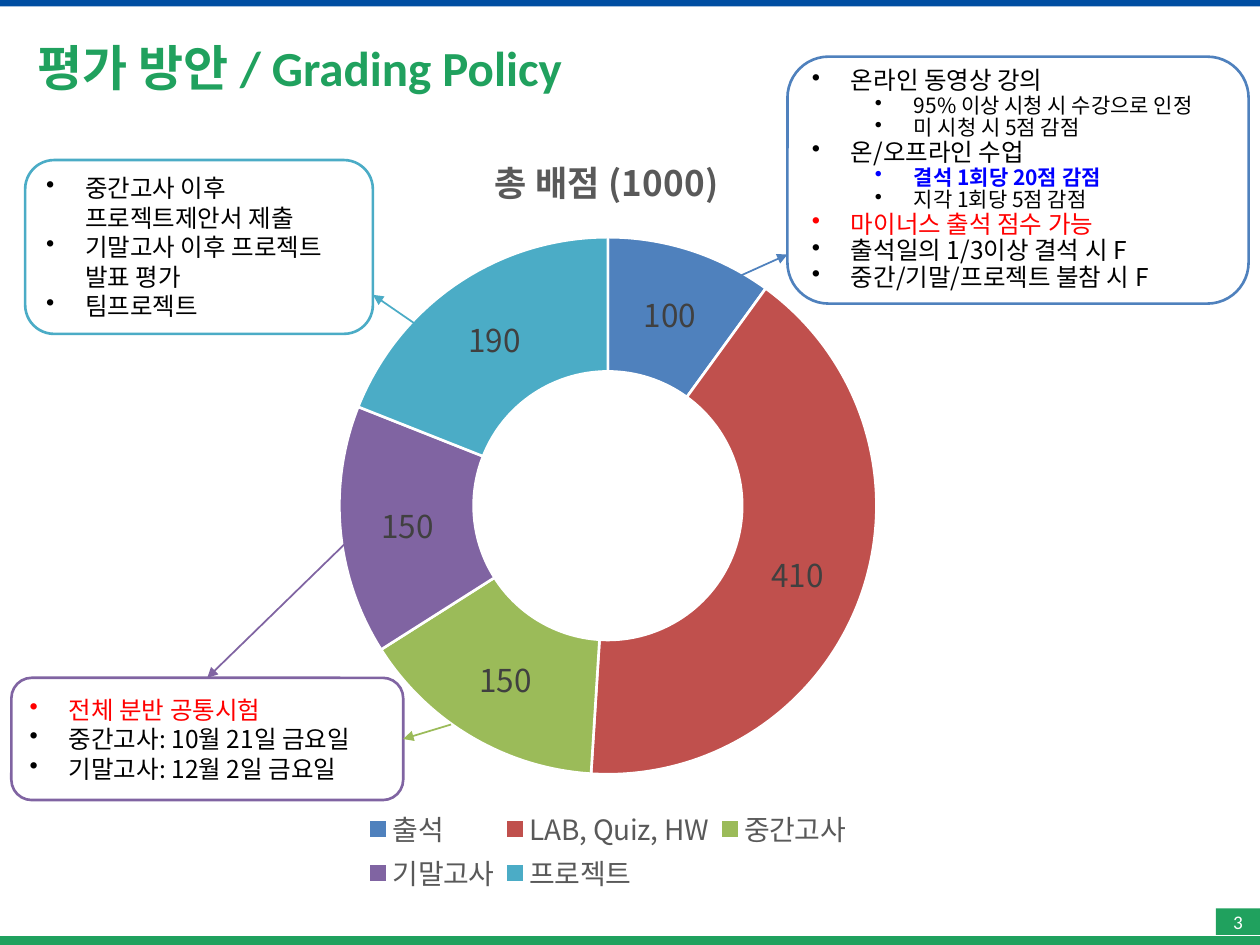
from lxml import etree
from pptx import Presentation
from pptx.chart.data import CategoryChartData
from pptx.dml.color import RGBColor
from pptx.enum.chart import XL_CHART_TYPE, XL_LEGEND_POSITION
from pptx.enum.shapes import MSO_CONNECTOR, MSO_SHAPE
from pptx.enum.text import MSO_ANCHOR, PP_ALIGN
from pptx.oxml import parse_xml
from pptx.oxml.ns import nsdecls, qn
from pptx.util import Inches, Pt

DOUGHNUT = XL_CHART_TYPE.DOUGHNUT
LEGEND_BOTTOM = XL_LEGEND_POSITION.BOTTOM
STRAIGHT = MSO_CONNECTOR.STRAIGHT
RECTANGLE = MSO_SHAPE.RECTANGLE
ROUNDED = MSO_SHAPE.ROUNDED_RECTANGLE
MIDDLE = MSO_ANCHOR.MIDDLE
LEFT, CENTER = PP_ALIGN.LEFT, PP_ALIGN.CENTER
TOP_SIDE, RIGHT_SIDE = 0, 3

GREEN = RGBColor(0x20, 0xA1, 0x5E)
NAVY = RGBColor(0x00, 0x4E, 0xA2)
WHITE = RGBColor(0xFF, 0xFF, 0xFF)
BLACK = RGBColor(0x00, 0x00, 0x00)
RED = RGBColor(0xFF, 0x00, 0x00)
BRIGHT_BLUE = RGBColor(0x00, 0x00, 0xFF)
GRAY = RGBColor(0x59, 0x59, 0x59)
DARK_GRAY = RGBColor(0x40, 0x40, 0x40)
STEEL = RGBColor(0x4F, 0x81, 0xBD)
BRICK = RGBColor(0xC0, 0x50, 0x4D)
OLIVE = RGBColor(0x9B, 0xBB, 0x59)
PURPLE = RGBColor(0x80, 0x64, 0xA2)
TEAL = RGBColor(0x4B, 0xAC, 0xC6)

LATIN_FONT = "Calibri"
KOREAN_FONT = "Noto Sans CJK KR"

SCORES = [("출석", 100, STEEL), ("LAB, Quiz, HW", 410, BRICK), ("중간고사", 150, OLIVE),
          ("기말고사", 150, PURPLE), ("프로젝트", 190, TEAL)]

# Each note line: text, level, colour, bold
EXAM_NOTES = [
    ("전체 분반 공통시험", 0, RED, False),
    ("중간고사: 10월 21일 금요일", 0, BLACK, False),
    ("기말고사: 12월 2일 금요일", 0, BLACK, False),
]
ATTENDANCE_NOTES = [
    ("온라인 동영상 강의", 0, BLACK, False),
    ("95% 이상 시청 시 수강으로 인정", 1, BLACK, False),
    ("미 시청 시 5점 감점", 1, BLACK, False),
    ("온/오프라인 수업", 0, BLACK, False),
    ("결석 1회당 20점 감점", 1, BRIGHT_BLUE, True),
    ("지각 1회당 5점 감점", 1, BLACK, False),
    ("마이너스 출석 점수 가능", 0, RED, False),
    ("출석일의 1/3이상 결석 시 F", 0, BLACK, False),
    ("중간/기말/프로젝트 불참 시 F", 0, BLACK, False),
]
PROJECT_NOTES = [
    ("중간고사 이후 프로젝트제안서 제출", 0, BLACK, False),
    ("기말고사 이후 프로젝트 발표 평가", 0, BLACK, False),
    ("팀프로젝트", 0, BLACK, False),
]


def style_font(font, size, color, name=KOREAN_FONT, bold=False):
    font.size, font.name, font.bold = Pt(size), name, bold
    font.color.rgb = color


def add_bar(slide, left, top, width, height, color):
    bar = slide.shapes.add_shape(RECTANGLE, Inches(left), Inches(top), Inches(width), Inches(height))
    bar.shadow.inherit = False
    bar.fill.solid()
    bar.fill.fore_color.rgb = color
    bar.line.fill.background()
    return bar


def add_title(slide, text):
    title = slide.shapes.add_textbox(Inches(0.2), Inches(0.2), Inches(9.61), Inches(0.67))
    frame = title.text_frame
    frame.word_wrap = True
    frame.vertical_anchor = MIDDLE
    frame.text = text
    style_font(frame.paragraphs[0].font, 28, GREEN, LATIN_FONT, True)


def add_page_number(slide, number):
    frame = add_bar(slide, 9.65, 7.21, 0.35, 0.21, GREEN).text_frame
    frame.margin_left = frame.margin_right = frame.margin_top = frame.margin_bottom = 0
    frame.vertical_anchor = MIDDLE
    frame.text = number
    frame.paragraphs[0].alignment = CENTER
    style_font(frame.paragraphs[0].font, 11, WHITE, LATIN_FONT)


def place(chart_part, x, y, width=None, height=None, inner=False):
    """Give a title, legend or plot area a fixed place, in fractions of the chart."""
    for old in chart_part.findall(qn("c:layout")):
        chart_part.remove(old)
    values = [("layoutTarget", "inner")] if inner else []
    values += [("xMode", "edge"), ("yMode", "edge"), ("x", x), ("y", y)]
    if width:
        values += [("w", width), ("h", height)]
    body = "".join(f'<c:{tag} val="{value}"/>' for tag, value in values)
    layout = parse_xml(f'<c:layout {nsdecls("c")}><c:manualLayout>{body}</c:manualLayout></c:layout>')
    before = chart_part.find(qn("c:tx"))
    if before is None:
        before = chart_part.find(qn("c:legendPos"))
    if before is None:
        chart_part.insert(0, layout)
    else:
        before.addnext(layout)


def add_score_chart(slide):
    data = CategoryChartData()
    data.categories = [name for name, _, _ in SCORES]
    data.add_series("Series 1", [score for _, score, _ in SCORES])
    chart = slide.shapes.add_chart(DOUGHNUT, Inches(0.51), Inches(1.03),
                                   Inches(8.63), Inches(6.09), data).chart
    style_font(chart.font, 10, BLACK)

    chart.has_title = True
    chart.chart_title.text_frame.text = "총 배점 (1000)"
    style_font(chart.chart_title.text_frame.paragraphs[0].font, 20, GRAY, bold=True)

    chart.has_legend = True
    chart.legend.position = LEGEND_BOTTOM
    chart.legend.include_in_layout = False
    style_font(chart.legend.font, 16, GRAY)

    plot = chart.plots[0]
    plot.vary_by_categories = True
    plot.has_data_labels = True
    plot.data_labels.show_value = True
    plot.data_labels.show_percentage = False
    style_font(plot.data_labels.font, 18, DARK_GRAY)
    for index, (_, _, color) in enumerate(SCORES):
        slice_format = plot.series[0].points[index].format
        slice_format.fill.solid()
        slice_format.fill.fore_color.rgb = color
        slice_format.line.color.rgb = WHITE
        slice_format.line.width = Pt(1.5)

    chart_xml = chart.element
    chart_xml.find(".//" + qn("c:holeSize")).set("val", "50")
    place(chart_xml.find(".//" + qn("c:title")), 0.39, 0.02)
    place(chart_xml.find(".//" + qn("c:legend")), 0.27, 0.88, 0.46, 0.12)
    place(chart_xml.find(".//" + qn("c:plotArea")), 0.25, 0.14, 0.5, 0.7, inner=True)


def add_note_box(slide, left, top, width, height, color, notes, line_spacing=1.0):
    box = slide.shapes.add_shape(ROUNDED, Inches(left), Inches(top), Inches(width), Inches(height))
    box.shadow.inherit = False
    box.fill.solid()
    box.fill.fore_color.rgb = WHITE
    box.line.color.rgb = color
    box.line.width = Pt(1.5)
    frame = box.text_frame
    frame.word_wrap = True
    frame.vertical_anchor = MIDDLE
    for index, (text, level, text_color, bold) in enumerate(notes):
        paragraph = frame.paragraphs[0] if index == 0 else frame.add_paragraph()
        paragraph.text = text
        paragraph.level = level
        paragraph.alignment = LEFT
        style_font(paragraph.font, 12 if level else 14, text_color, bold=bold)
        add_bullet(paragraph, 0.31 + 0.5 * level)
        paragraph.line_spacing = line_spacing
    return box


def add_bullet(paragraph, indent):
    properties = paragraph._p.get_or_add_pPr()
    properties.set("marL", str(Inches(indent)))
    properties.set("indent", str(Inches(-0.31)))
    bullet = etree.Element(qn("a:buChar"), char="•")
    properties.insert(0, bullet)


def add_arrow(slide, start, end, color, box=None, side=None):
    x1, y1, x2, y2 = (Inches(value) for value in (*start, *end))
    arrow = slide.shapes.add_connector(STRAIGHT, x1, y1, x2, y2)
    if box is not None:
        arrow.end_connect(box, side)
    arrow.line.color.rgb = color
    arrow.line.width = Pt(1)
    etree.SubElement(arrow.line._get_or_add_ln(), qn("a:tailEnd"), type="triangle")
    etree.SubElement(arrow._element.spPr, qn("a:effectLst"))


def main():
    deck = Presentation()
    deck.slide_width, deck.slide_height = Inches(10), Inches(7.5)
    slide = deck.slides.add_slide(deck.slide_layouts[6])

    add_bar(slide, 0, 7.43, 10, 0.07, GREEN)
    add_bar(slide, 0, 0, 10, 0.05, NAVY)
    add_title(slide, "평가 방안 / Grading Policy")
    add_page_number(slide, "3")
    add_score_chart(slide)

    exam_box = add_note_box(slide, 0.09, 5.38, 3.11, 0.97, PURPLE, EXAM_NOTES)
    add_note_box(slide, 6.25, 0.45, 3.66, 1.96, STEEL, ATTENDANCE_NOTES, line_spacing=0.9)
    add_note_box(slide, 0.2, 1.27, 2.76, 1.38, TEAL, PROJECT_NOTES)

    add_arrow(slide, (3.44, 2.67), (2.96, 2.34), TEAL)
    add_arrow(slide, (5.54, 2.34), (6.25, 2.02), STEEL)
    add_arrow(slide, (2.96, 4.1), (1.64, 5.38), PURPLE, exam_box, TOP_SIDE)
    add_arrow(slide, (3.58, 5.75), (3.2, 5.86), OLIVE, exam_box, RIGHT_SIDE)

    deck.save("out.pptx")


if __name__ == "__main__":
    main()
